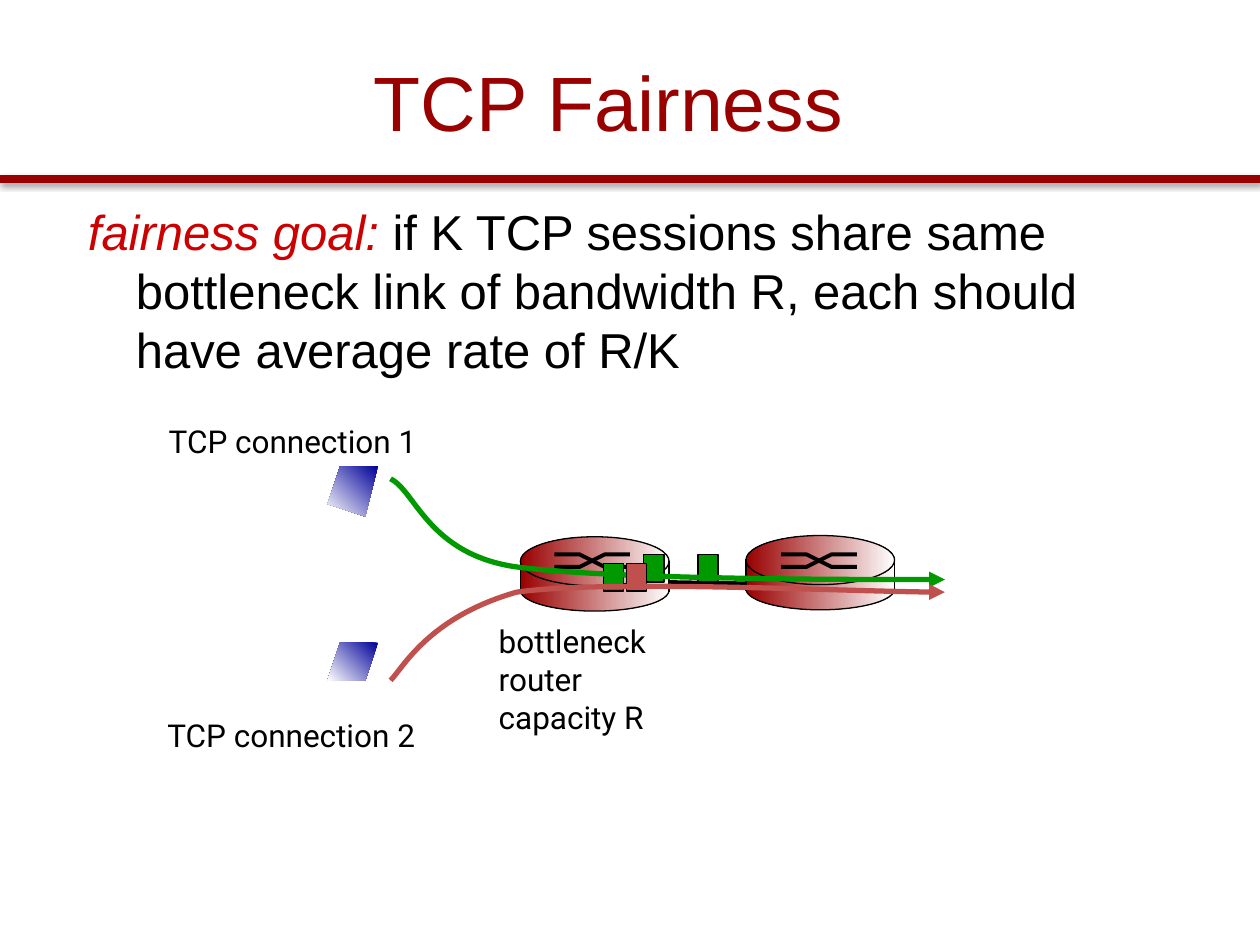
from dataclasses import dataclass

from pptx import Presentation
from pptx.dml.color import RGBColor
from pptx.enum.shapes import MSO_CONNECTOR, MSO_SHAPE
from pptx.enum.text import MSO_ANCHOR, PP_ALIGN
from pptx.oxml.ns import qn
from pptx.util import Inches, Pt
from lxml import etree

STRAIGHT = MSO_CONNECTOR.STRAIGHT
RECTANGLE, OVAL = MSO_SHAPE.RECTANGLE, MSO_SHAPE.OVAL
MIDDLE, TOP = MSO_ANCHOR.MIDDLE, MSO_ANCHOR.TOP
CENTER, LEFT = PP_ALIGN.CENTER, PP_ALIGN.LEFT
CELL = Inches(0.1)  # the slide is a grid of 100 columns by 75 rows


@dataclass(frozen=True)
class Theme:
    maroon: str = "990000"
    emphasis: str = "CC0000"
    black: str = "000000"
    white: str = "FFFFFF"
    navy: str = "000099"
    flow_one: str = "009900"
    flow_two: str = "C0504D"
    heading_font: str = "Arial"
    label_font: str = "Roboto"
    title_size: float = 44
    body_size: float = 28
    label_size: float = 18
    rule_width: float = 5
    flow_width: float = 3
    link_width: float = 2.25
    outline_width: float = 0.75


THEME = Theme()


@dataclass(frozen=True)
class Box:
    """An area in grid columns and rows."""
    left: float
    top: float
    width: float
    height: float

    def inner(self, left, top, width, height):
        return Box(self.left + left, self.top + top, width, height)

    def share(self, x, y):
        return self.left + x * self.width, self.top + y * self.height

    def band(self, top, height):
        return Box(self.left, self.top + top * self.height, self.width, height * self.height)

    def emu(self):
        return [round(v * CELL) for v in (self.left, self.top, self.width, self.height)]


def color(value):
    return RGBColor.from_string(value)


def style_line(shape, value, width):
    shape.line.color.rgb = color(value)
    shape.line.width = Pt(width)


def fill_gradient(shape, start, end, angle):
    shape.fill.gradient()
    shape.fill.gradient_angle = angle
    for stop, value in zip(shape.fill.gradient_stops, (start, end)):
        stop.color.rgb = color(value)


def add_preset(slide, kind, box, fill=None, outlined=True):
    shape = slide.shapes.add_shape(kind, *box.emu())
    shape.shadow.inherit = False
    if fill:
        shape.fill.solid()
        shape.fill.fore_color.rgb = color(fill)
    else:
        fill_gradient(shape, THEME.maroon, THEME.white, 0)
    if outlined:
        style_line(shape, THEME.black, THEME.outline_width)
    else:
        shape.line.fill.background()


def add_outline(slide, points, closed=False):
    builder = slide.shapes.build_freeform(*points[0], scale=CELL)
    builder.add_line_segments(points[1:], close=closed)
    shape = builder.convert_to_shape()
    shape.shadow.inherit = False
    return shape


def add_line(slide, start, end, value, width):
    """Draw a line and return its empty effect list."""
    ends = [round(v * CELL) for v in (*start, *end)]
    line = slide.shapes.add_connector(STRAIGHT, *ends)
    style_line(line, value, width)
    return etree.SubElement(line._element.spPr, qn("a:effectLst"))


def add_text(slide, box, runs_by_paragraph, font, size, anchor=TOP, align=LEFT, wrap=True):
    """Each paragraph is a list of (text, colour, italic) runs."""
    frame = slide.shapes.add_textbox(*box.emu()).text_frame
    frame.word_wrap = wrap
    frame.vertical_anchor = anchor
    for index, runs in enumerate(runs_by_paragraph):
        paragraph = frame.add_paragraph() if index else frame.paragraphs[0]
        paragraph.alignment = align
        for text, value, italic in runs:
            run = paragraph.add_run()
            run.text = text
            run.font.name, run.font.size = font, Pt(size)
            run.font.italic = italic
            run.font.color.rgb = color(value)
    return frame


def add_header(slide, box):
    # Rule with a soft shadow below the title
    effects = add_line(slide, box.share(0, 1), box.share(1, 1), THEME.maroon, THEME.rule_width)
    shadow = etree.SubElement(effects, qn("a:outerShdw"), blurRad=str(Pt(3.1)),
                              dist=str(Pt(1.6)), dir="5400000", rotWithShape="0")
    shade = etree.SubElement(shadow, qn("a:srgbClr"), val=THEME.black)
    etree.SubElement(shade, qn("a:alpha"), val="38000")
    # Title
    add_text(slide, box.inner(5.8, 1.7, 85, 12.5), [[("TCP Fairness", THEME.maroon, False)]],
             THEME.heading_font, THEME.title_size, MIDDLE, CENTER)


def add_goal(slide, box):
    goal = [("fairness goal:", THEME.emphasis, True),
            (" if K TCP sessions share same bottleneck link of bandwidth R, "
             "each should have average rate of R/K", THEME.black, False)]
    frame = add_text(slide, box, [goal], THEME.heading_font, THEME.body_size)
    properties = frame.paragraphs[0]._p.get_or_add_pPr()
    properties.set("marL", str(Inches(0.38)))
    properties.set("indent", str(-Inches(0.38)))


def add_router(slide, box):
    # Body, side band and top
    add_preset(slide, OVAL, box.band(0.44, 0.56))
    add_preset(slide, RECTANGLE, box.band(0.39, 0.34), outlined=False)
    add_preset(slide, OVAL, box.band(0, 0.66))
    # Crossed switch lines
    high, low = 0.17, 0.48
    for columns, start, end in (((0.2, 0.38, 0.55, 0.76), low, high),
                                ((0.23, 0.41, 0.58, 0.74), high, low)):
        points = [box.share(x, y) for x, y in zip(columns, (start, start, end, end))]
        strand = add_outline(slide, points)
        strand.fill.background()
        style_line(strand, THEME.black, THEME.link_width)
    # Side edges
    for x in (0, 1):
        add_line(slide, box.share(x, 0.32), box.share(x, 0.75), THEME.black, THEME.outline_width)


def add_flow(slide, box, points, value):
    """Draw a start point followed by groups of three Bezier points."""
    flow = add_outline(slide, [(box.left + x, box.top + y) for x, y in points])
    segments = list(flow._element.iter(qn("a:lnTo")))
    for first in range(0, len(segments), 3):
        curve = etree.Element(qn("a:cubicBezTo"))
        segments[first].addprevious(curve)
        for segment in segments[first:first + 3]:
            curve.append(segment[0])
            segment.getparent().remove(segment)
    flow.fill.background()
    style_line(flow, value, THEME.flow_width)
    etree.SubElement(flow.line._get_or_add_ln(), qn("a:tailEnd"), type="triangle")


def add_host(slide, box):
    corners = ((1, 0), (0.15, 0.03), (0, 0.8), (0.78, 1))
    host = add_outline(slide, [box.share(x, y) for x, y in corners], closed=True)
    fill_gradient(host, THEME.navy, THEME.white, 225)
    host.line.fill.background()


def add_label(slide, box, lines):
    add_text(slide, box, [[(line, THEME.black, False)] for line in lines],
             THEME.label_font, THEME.label_size, wrap=False)


def add_network(slide, box):
    # Bottleneck link and its routers
    add_line(slide, (box.left + 43.1, box.top + 13.2), (box.left + 49.2, box.top + 13.3),
             THEME.black, THEME.link_width)
    for left, top in ((31.3, 9.6), (49.2, 9.5)):
        add_router(slide, box.inner(left, top, 11.8, 5.9))
    # Packets and flows, the second flow over the first
    for left, top in ((45.4, 11), (37.9, 11.7), (41.1, 11)):
        add_preset(slide, RECTANGLE, box.inner(left, top, 1.6, 2.2), THEME.flow_one)
    add_flow(slide, box, ((21.3, 5.3), (23, 6.4), (24.2, 10.8), (31.4, 12.1),
                          (38.7, 13.2), (58.1, 12.6), (65.1, 12.8)), THEME.flow_one)
    add_preset(slide, RECTANGLE, box.inner(39.7, 11.7, 1.6, 2.2), THEME.flow_two)
    add_flow(slide, box, ((20.7, 21.2), (22.4, 20.1), (23.6, 15.7), (30.9, 14.4),
                          (38.3, 13.3), (57.9, 14), (64.9, 13.8)), THEME.flow_two)
    # Hosts
    for left, top in ((16.1, 4.2), (16.2, 17.8)):
        add_host(slide, box.inner(left, top, 4.1, 3.6))
    # Labels
    add_label(slide, box.inner(2.4, 0, 21.9, 4), ["TCP connection 1"])
    add_label(slide, box.inner(2.3, 23.3, 21.9, 4), ["TCP connection 2"])
    add_label(slide, box.inner(28.6, 15.9, 13.7, 10), ["bottleneck", "router", "capacity R"])


def main():
    presentation = Presentation()
    presentation.slide_width, presentation.slide_height = 100 * CELL, 75 * CELL
    slide = presentation.slides.add_slide(presentation.slide_layouts[6])
    add_header(slide, Box(0, 0, 100, 14.2))
    add_goal(slide, Box(6, 15.5, 83.3, 24))
    add_network(slide, Box(10, 33, 70, 28))
    presentation.save("out.pptx")


if __name__ == "__main__":
    main()
